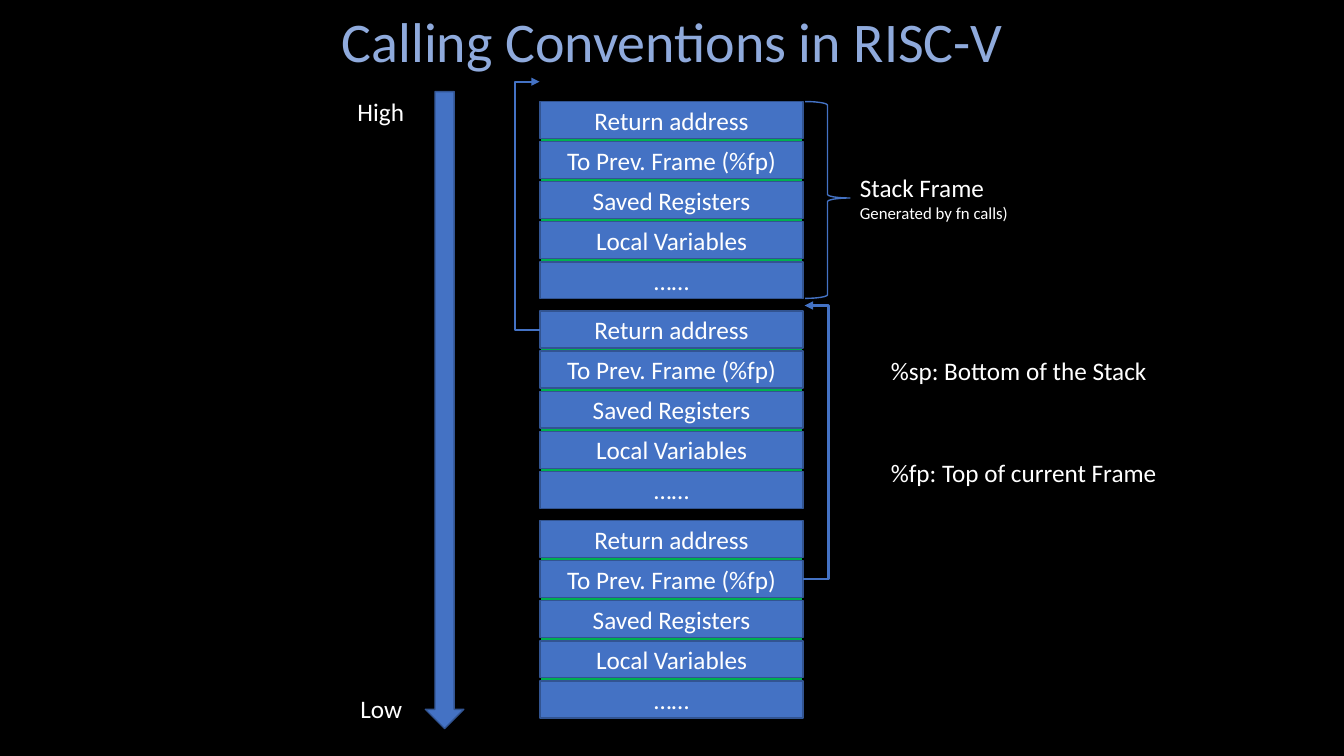
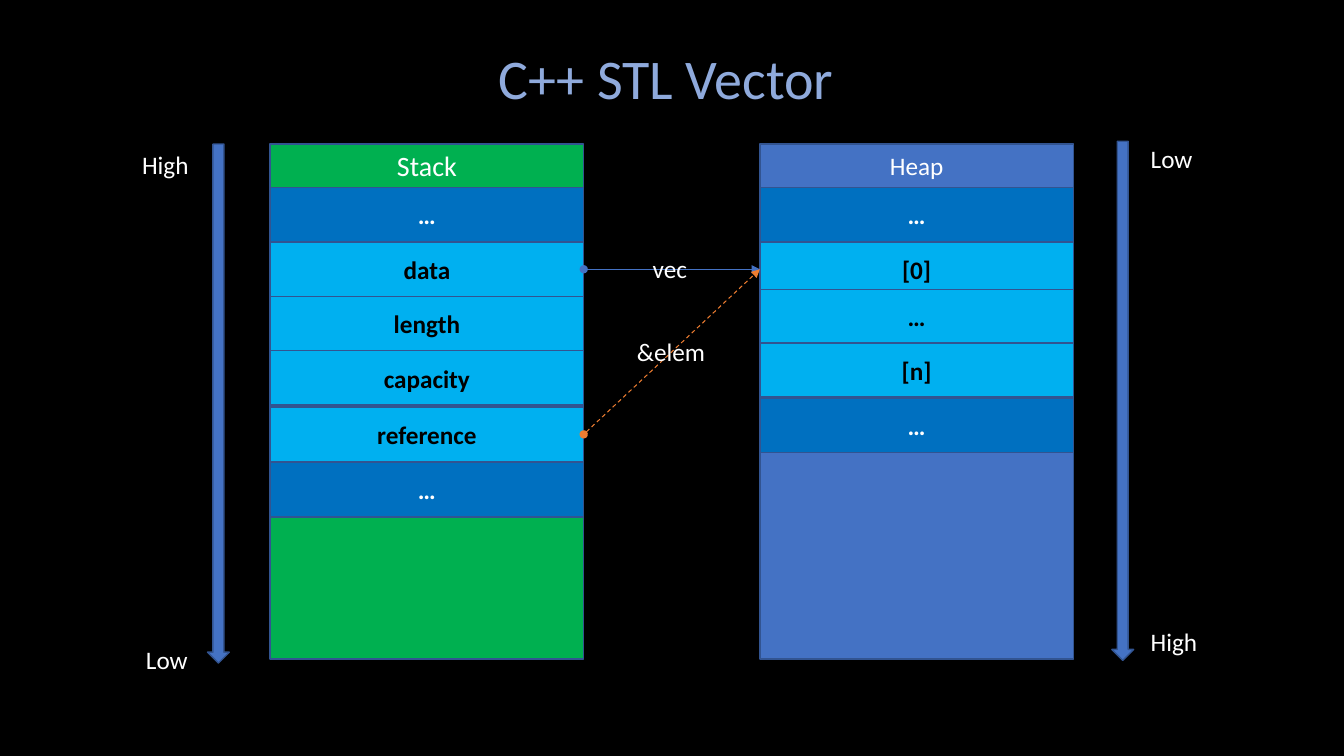
"""Two slides on memory layout: RISC-V stack frames and the C++ vector."""
from dataclasses import dataclass
from typing import Any, Optional

import pptx
import pptx.dml.color
import pptx.enum.dml
import pptx.enum.shapes
import pptx.enum.text
import pptx.oxml.ns
import pptx.util

Cm = pptx.util.Cm
Pt = pptx.util.Pt
qn = pptx.oxml.ns.qn
SHAPE = pptx.enum.shapes.MSO_SHAPE
CONNECTOR = pptx.enum.shapes.MSO_CONNECTOR
ALIGN = pptx.enum.text.PP_ALIGN
ANCHOR = pptx.enum.text.MSO_ANCHOR
AUTO_SIZE = pptx.enum.text.MSO_AUTO_SIZE

FONT = "Calibri"
COLORS = {
    "background": "000000",
    "title": "8FAADC",
    "light": "FFFFFF",
    "dark": "000000",
    "blue": "4472C4",
    "outline": "325491",
    "green": "00B050",
    "other": "0070C0",
    "vector": "00B0F0",
    "reference": "ED7D31",
}


@dataclass(frozen=True)
class Box:
    """Position and size in centimetres."""
    left: float
    top: float
    width: float
    height: float

    def emu(self) -> tuple:
        """Return the four lengths for python-pptx."""
        return Cm(self.left), Cm(self.top), Cm(self.width), Cm(self.height)


@dataclass(frozen=True)
class Label:
    """Free text; every line has its own size."""
    box: Box
    lines: tuple
    sizes: tuple = (18,)


@dataclass(frozen=True)
class Cell:
    """One memory cell in a column."""
    top: float
    text: str
    fill: str = "vector"
    color: str = "dark"


@dataclass(frozen=True)
class Column:
    """A memory region with a header and cells."""
    left: float
    title: str
    title_size: int
    fill: str
    cells: tuple


@dataclass(frozen=True)
class Link:
    """Look of a connector."""
    color: str
    width: float
    head: Optional[str] = None
    dashed: bool = False


def rgb(name: str) -> pptx.dml.color.RGBColor:
    """Look up a named colour."""
    return pptx.dml.color.RGBColor.from_string(COLORS[name])


def format_text(p: Any, size: int, color: str, bold: bool = False) -> None:
    """Format all runs of a paragraph."""
    for r in p.runs:
        r.font.name = FONT
        r.font.size = Pt(size)
        r.font.bold = bold
        r.font.color.rgb = rgb(color)


def add_title_slide(prs: Any, title: str, top: float) -> Any:
    """Add a slide with its title placeholder in place."""
    s = prs.slides.add_slide(prs.slide_layouts[5])
    sp = s.shapes.title
    sp.left, sp.top, sp.width, sp.height = Box(5.21, top, 23.47, 1.96).emu()
    tf = sp.text_frame
    tf.text = title
    tf.word_wrap = True
    tf.auto_size = AUTO_SIZE.NONE
    tf.vertical_anchor = ANCHOR.TOP
    tf.paragraphs[0].alignment = ALIGN.CENTER
    format_text(tf.paragraphs[0], 40, "title")
    return s


def add_block(s: Any, box: Box, fill: Optional[str], line: str = "outline",
              kind: Any = SHAPE.RECTANGLE) -> Any:
    """Add a preset shape with a one-point outline."""
    sp = s.shapes.add_shape(kind, *box.emu())
    sp.shadow.inherit = False
    if fill:
        sp.fill.solid()
        sp.fill.fore_color.rgb = rgb(fill)
    else:
        sp.fill.background()
    sp.line.color.rgb = rgb(line)
    sp.line.width = Pt(1)
    return sp


def add_cell(s: Any, box: Box, text: str, fill: str, color: str = "light",
             size: int = 18, bold: bool = False) -> Any:
    """Add a block with centred text."""
    sp = add_block(s, box, fill)
    tf = sp.text_frame
    tf.text = text
    tf.word_wrap = True
    tf.vertical_anchor = ANCHOR.MIDDLE
    tf.paragraphs[0].alignment = ALIGN.CENTER
    format_text(tf.paragraphs[0], size, color, bold)
    return sp


def add_label(s: Any, label: Label) -> None:
    """Add an unwrapped text box."""
    tf = s.shapes.add_textbox(*label.box.emu()).text_frame
    tf.text = "\n".join(label.lines)
    tf.word_wrap = False
    tf.auto_size = AUTO_SIZE.SHAPE_TO_FIT_TEXT
    for p, size in zip(tf.paragraphs, label.sizes):
        format_text(p, size, "light")


def style_link(sp: Any, link: Link) -> None:
    """Set line, arrowheads and empty effects of a connector."""
    sp.line.color.rgb = rgb(link.color)
    sp.line.width = Pt(link.width)
    if link.dashed:
        sp.line.dash_style = pptx.enum.dml.MSO_LINE.DASH
    props = sp._element.spPr
    ln = props.find(qn("a:ln"))
    for tag, end in (("a:headEnd", link.head), ("a:tailEnd", "triangle")):
        if end:
            ln.append(ln.makeelement(qn(tag), {"type": end}))
    props.append(props.makeelement(qn("a:effectLst"), {}))


def add_elbow(s: Any, start: tuple, end: tuple, via: float) -> None:
    """Add a bent arrow whose vertical part runs at x = via."""
    sp = s.shapes.add_connector(
        CONNECTOR.ELBOW, *(Cm(value) for value in (*start, *end)))
    guides = sp._element.spPr.find(qn("a:prstGeom")).find(qn("a:avLst"))
    bend = round((via - start[0]) / (end[0] - start[0]) * 100000)
    guides.append(guides.makeelement(
        qn("a:gd"), {"name": "adj1", "fmla": f"val {bend}"}))
    style_link(sp, Link("blue", 1.5))


def add_pointer(s: Any, source: Any, target: Any, link: Link) -> None:
    """Connect the right side of source to the left side of target."""
    sp = s.shapes.add_connector(CONNECTOR.STRAIGHT, 0, 0, 0, 0)
    sp.begin_connect(source, 3)
    sp.end_connect(target, 1)
    style_link(sp, link)


def add_column(s: Any, column: Column) -> dict:
    """Draw a memory region and return its cells by text."""
    width, header_top, header_height = 7.9, 3.63, 1.09
    body_top = header_top + header_height
    add_block(s, Box(column.left, body_top, width, 11.89), column.fill)
    add_cell(s, Box(column.left, header_top, width, header_height),
             column.title, column.fill, size=column.title_size)
    return {
        cell.text: add_cell(s, Box(column.left, cell.top, width, 1.37),
                            cell.text, cell.fill, cell.color, bold=True)
        for cell in column.cells
    }


def build_calling_conventions(prs: Any) -> None:
    """Build the stack frame slide."""
    s = add_title_slide(prs, "Calling Conventions in RISC-V", 0.03)
    rows = ("Return address", "To Prev. Frame (%fp)", "Saved Registers",
            "Local Variables", "……")
    left, top, width, height = 13.61, 2.56, 6.63, 4.96
    frame_pitch, row_pitch, row_height = 5.28, 1.01, 0.93
    for frame in range(3):
        frame_top = top + frame * frame_pitch
        add_block(s, Box(left, frame_top, width, height), "green", "dark")
        for i, text in enumerate(rows):
            add_cell(s, Box(left, frame_top + i * row_pitch, width, row_height),
                     text, "blue")

    right = left + width
    add_elbow(s, (right, 14.6), (right + 0.04, 7.7), 20.88)
    add_elbow(s, (left, 8.32), (left - 0.01, 2.06), 12.98)
    brace = add_block(s, Box(20.29, top, 1.13, height), None, "blue",
                      SHAPE.RIGHT_BRACE)
    brace.adjustments[0] = 0.08
    brace.adjustments[1] = 0.49
    add_block(s, Box(10.72, 2.31, 0.97, 16.05), "blue", kind=SHAPE.DOWN_ARROW)
    for label in (
        Label(Box(21.42, 4.22, 4.3, 1.56),
              ("Stack Frame", "Generated by fn calls)"), (18, 12)),
        Label(Box(8.76, 2.31, 1.71, 1.03), ("High",)),
        Label(Box(8.83, 17.34, 1.57, 1.03), ("Low",)),
        Label(Box(22.2, 8.84, 7.26, 1.03), ("%sp: Bottom of the Stack",)),
        Label(Box(22.2, 11.4, 7.44, 1.03), ("%fp: Top of current Frame ",)),
    ):
        add_label(s, label)


def build_vector(prs: Any) -> None:
    """Build the vector slide."""
    s = add_title_slide(prs, "C++ STL Vector ", 0.97)
    stack = add_column(s, Column(6.81, "Stack", 20, "green", (
        Cell(4.72, "…", "other", "light"),
        Cell(6.1, "data"),
        Cell(7.47, "length"),
        Cell(8.84, "capacity"),
        Cell(10.26, "reference"),
        Cell(11.66, "…", "other", "light"),
    )))
    heap = add_column(s, Column(19.15, "Heap", 18, "blue", (
        Cell(4.72, "…", "other", "light"),
        Cell(6.1, "[0]"),
        Cell(7.29, "…"),
        Cell(8.64, "[n]"),
        Cell(10.03, "…", "other", "light"),
    )))
    add_pointer(s, stack["data"], heap["[0]"], Link("blue", 1, "oval"))
    add_pointer(s, stack["reference"], heap["[0]"],
                Link("reference", 0.75, "oval", dashed=True))
    for left, top in ((5.23, 3.63), (28.02, 3.56)):
        add_block(s, Box(left, top, 0.55, 13.08), "blue", kind=SHAPE.DOWN_ARROW)
    for label in (
        Label(Box(3.33, 3.63, 1.71, 1.03), ("High",)),
        Label(Box(3.43, 16.1, 1.57, 1.03), ("Low",)),
        Label(Box(28.75, 3.48, 1.57, 1.03), ("Low",)),
        Label(Box(28.75, 15.67, 1.71, 1.03), ("High",)),
        Label(Box(15.8, 8.36, 2.26, 1.03), ("&elem",)),
        Label(Box(16.2, 6.25, 1.4, 1.03), ("vec",)),
    ):
        add_label(s, label)


def main() -> None:
    """Create and save the presentation."""
    prs = pptx.Presentation()
    prs.slide_width, prs.slide_height = Cm(33.87), Cm(19.05)
    fill = prs.slide_master.background.fill
    fill.solid()
    fill.fore_color.rgb = rgb("background")
    build_calling_conventions(prs)
    build_vector(prs)
    prs.save("out.pptx")


main()
